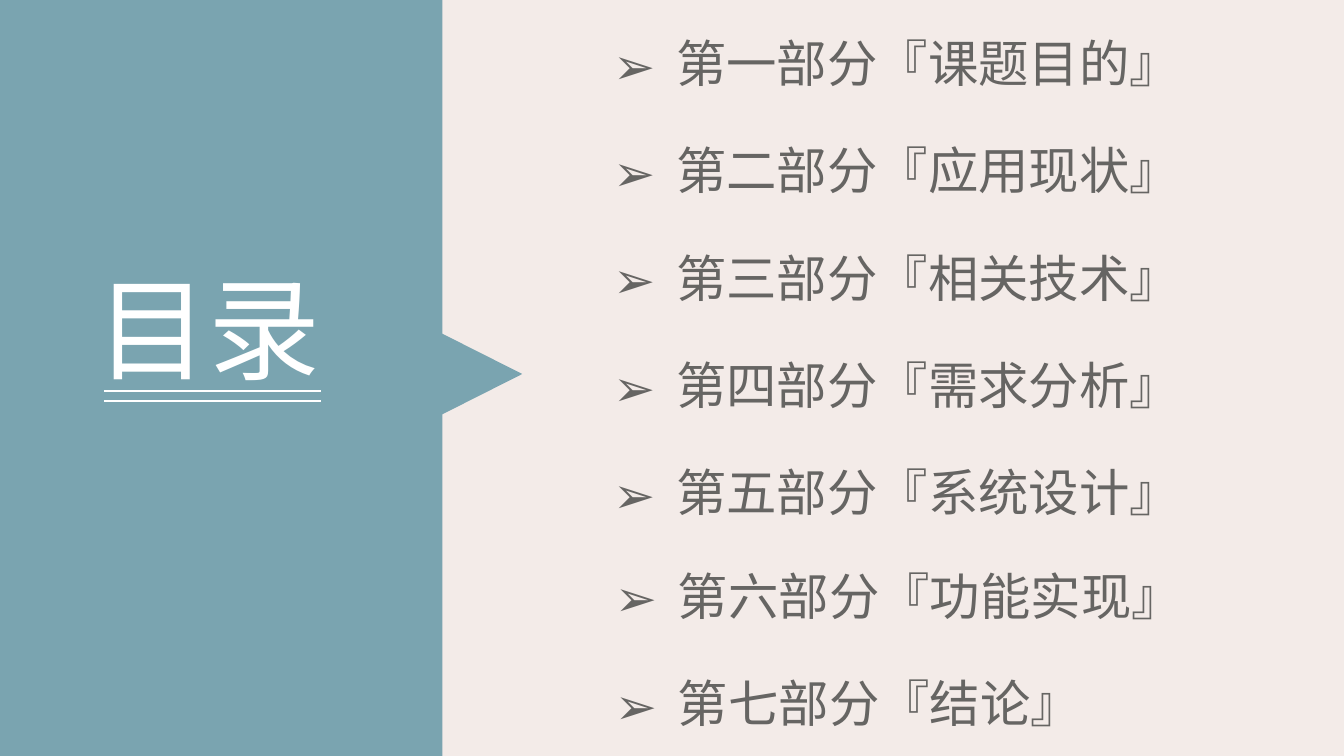
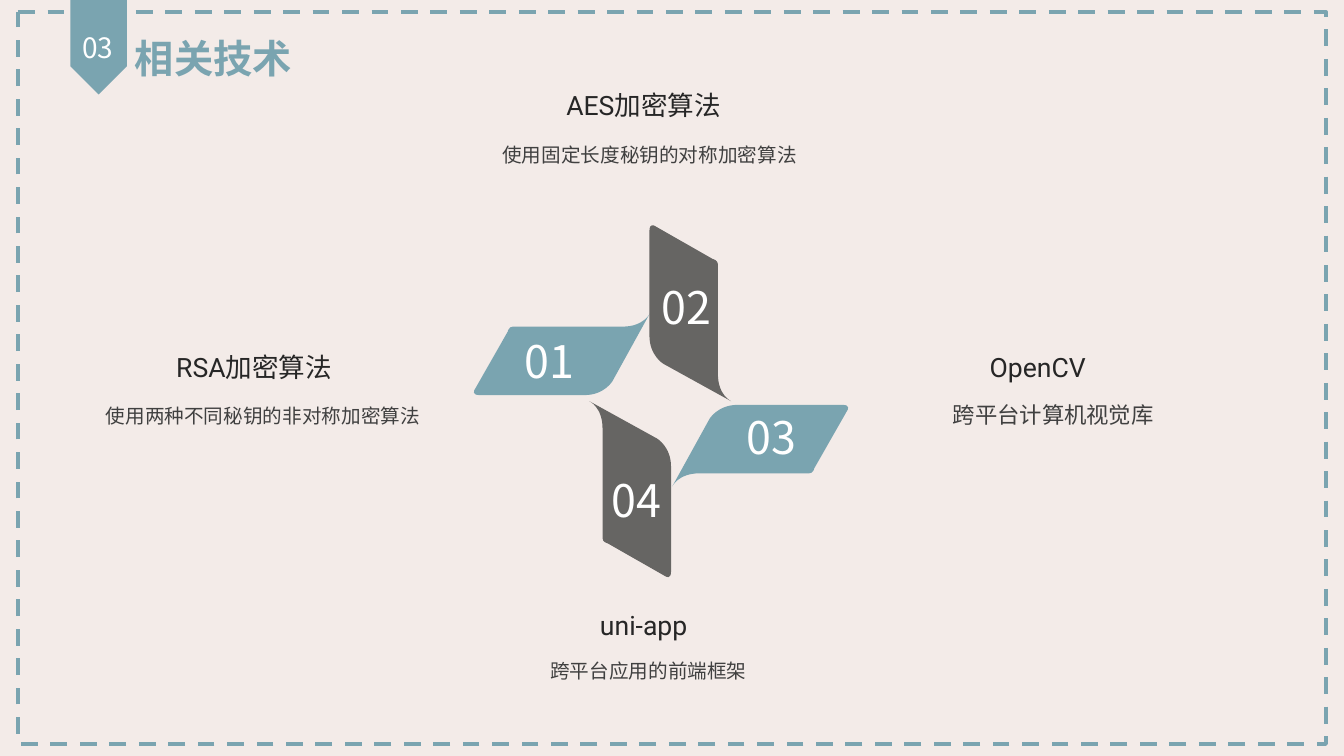
from lxml.etree import SubElement
from pptx import Presentation
from pptx.dml.color import RGBColor
from pptx.enum.dml import MSO_LINE
from pptx.enum.shapes import MSO_CONNECTOR, MSO_SHAPE
from pptx.enum.text import MSO_AUTO_SIZE, PP_ALIGN
from pptx.oxml.ns import qn
from pptx.util import Pt

TEAL, GREY, WHITE, CREAM = "7AA4B0", "666563", "FFFFFF", "F3EBE8"
HAN, LATIN = "Noto Sans CJK SC", "Roboto"
CENTER, LEFT = PP_ALIGN.CENTER, PP_ALIGN.LEFT

AGENDA_STEP, AGENDA_INDENT = 76.65, 45
AGENDA = [
    (430.9, 19.3, ["第一部分『课题目的』", "第二部分『应用现状』", "第三部分『相关技术』",
                   "第四部分『需求分析』", "第五部分『系统设计』"]),
    (432.2, 399.9, ["第六部分『功能实现』", "第七部分『结论』"]),
]

STYLES = {
    "contents": dict(size=80, color=WHITE),
    "agenda": dict(size=36, color=GREY),
    "badge": dict(size=20, color=WHITE),
    "title": dict(size=28, color=TEAL, bold=True),
    "number": dict(size=32, color=WHITE, align=CENTER),
    "heading": dict(size=19, color="262626", font=LATIN, align=CENTER, spacing=1.2),
    "detail": dict(size=14, color="404040", align=CENTER, spacing=1.5),
}

BLADE_CURVES = [
    [(0, 0), (-4.3, 9.4), (-19.4, 9.4)],
    [(-97.9, 9.4)] * 3,
    [(-100.8, 9.4), (-101.5, 13), (-101.5, 13)],
    [(-125.3, 54.7)] * 3,
    [(-125.3, 54.7), (-127.4, 58.3), (-121.7, 58.3)],
    [(-46.8, 58.3)] * 3,
    [(-32.4, 58.3), (-26.6, 48.2), (-26.6, 48.2)],
]

TECHNOLOGIES = [
    dict(tip=(464.2, 223.9), number=(363.6, 234.9),
         heading=("RSA加密算法", (52.2, 246.2, 258.5, 30.2), {}),
         detail=("使用两种不同秘钥的非对称加密算法", (42.8, 280.1), {})),
    dict(tip=(522.2, 286.6), number=(461.5, 196.2),
         heading=("AES加密算法", (361.4, 59, 196.6, 30.2), {}),
         detail=("使用固定长度秘钥的对称加密算法", (319, 93.6), {})),
    dict(tip=(480.2, 347.5), number=(522.2, 289.2),
         heading=("OpenCV", (694.8, 246.2, 196.6, 30.2), dict(align=LEFT)),
         detail=("跨平台计算机视觉库", (607.3, 276.8), dict(size=16, font=LATIN))),
    dict(tip=(421, 286.6), number=(425.8, 334.1),
         heading=("uni-app", (329.8, 430.6, 259.9, 30.2), {}),
         detail=("跨平台应用的前端框架", (318.2, 462.2), {})),
]


def color(code):
    return RGBColor.from_string(code)


def apply(target, values):
    for name, value in values.items():
        setattr(target, name, value)


def add_page(deck):
    page = deck.slides.add_slide(deck.slide_layouts[6])
    page.background.fill.solid()
    page.background.fill.fore_color.rgb = color(CREAM)
    return page


def paint(shape, fill):
    shape.shadow.inherit = False
    shape.fill.solid()
    shape.fill.fore_color.rgb = color(fill)
    shape.line.fill.background()


def add_block(parent, kind, place, fill, rotation=0):
    block = parent.shapes.add_shape(kind, *map(Pt, place))
    block.rotation = rotation
    paint(block, fill)


def add_text(parent, text, place, style, wrap=True, grow=True, bullet=None, **changes):
    look = {"font": HAN, "align": LEFT, "spacing": None, "bold": None, **STYLES[style], **changes}
    box = parent.shapes.add_textbox(*map(Pt, place))
    frame = box.text_frame
    apply(frame, dict(word_wrap=wrap,
                      auto_size=MSO_AUTO_SIZE.SHAPE_TO_FIT_TEXT if grow else MSO_AUTO_SIZE.NONE))
    if not grow:
        apply(frame, dict(margin_left=Pt(12.2), margin_right=Pt(12.2), margin_top=0, margin_bottom=0))
    para = frame.paragraphs[0]
    apply(para, dict(alignment=look["align"], line_spacing=look["spacing"]))
    if bullet:
        properties = para._p.get_or_add_pPr()
        properties.set("marL", str(Pt(AGENDA_INDENT)))
        properties.set("indent", str(-Pt(AGENDA_INDENT)))
        SubElement(properties, qn("a:buFont")).set("typeface", HAN)
        SubElement(properties, qn("a:buChar")).set("char", bullet)
    span = para.add_run()
    span.text = text
    apply(span.font, dict(name=look["font"], size=Pt(look["size"]), bold=look["bold"]))
    span.font.color.rgb = color(look["color"])
    SubElement(span._r.get_or_add_rPr(), qn("a:ea")).set("typeface", HAN)


def add_rule(page, left, right, top):
    rule = page.shapes.add_connector(MSO_CONNECTOR.STRAIGHT, Pt(left), Pt(top), Pt(right), Pt(top))
    rule.line.width = Pt(1.5)
    rule.line.color.rgb = color(WHITE)
    SubElement(rule._element.spPr, qn("a:effectLst"))


def bend(shape):
    segments = list(shape._element.iter(qn("a:lnTo")))
    for first in range(0, 3 * len(BLADE_CURVES), 3):
        trio = segments[first:first + 3]
        curve = trio[0].makeelement(qn("a:cubicBezTo"))
        trio[0].addprevious(curve)
        for segment in trio:
            curve.append(segment[0])
            segment.getparent().remove(segment)


def add_blade(parent, tip, quarter_turns, fill):
    outline = []
    for x, y in [(0, 0), *sum(BLADE_CURVES, []), (0, 0)]:
        for _ in range(quarter_turns):
            x, y = -y, x
        outline.append((Pt(tip[0] + x), Pt(tip[1] + y)))
    builder = parent.shapes.build_freeform(*outline[0])
    builder.add_line_segments(outline[1:], close=True)
    blade = builder.convert_to_shape()
    bend(blade)
    paint(blade, fill)


def add_contents(deck):
    page = add_page(deck)
    panel = page.shapes.add_group_shape()
    add_block(panel, MSO_SHAPE.RECTANGLE, (-112, 112, 540, 316), TEAL, 90)
    add_block(panel, MSO_SHAPE.ISOSCELES_TRIANGLE, (292.8, 227.2, 80.6, 79.9), TEAL, 90)
    add_text(page, "目录", (61.6, 181.8, 186.5, 104.4), "contents")
    for top in (279.4, 286.6):
        add_rule(page, 74.2, 229, top)
    for left, first, entries in AGENDA:
        for row, entry in enumerate(entries):
            place = (left, first + row * AGENDA_STEP, 434.2, 51.1)
            add_text(page, entry, place, "agenda", bullet="➢")


def add_header(page, number, title):
    border = page.shapes.add_shape(MSO_SHAPE.ROUNDED_RECTANGLE, Pt(13), Pt(8.6), Pt(934), Pt(522.7))
    border.adjustments[0] = 0
    border.shadow.inherit = False
    border.fill.background()
    apply(border.line, dict(width=Pt(3), dash_style=MSO_LINE.DASH))
    border.line.color.rgb = color(TEAL)
    add_block(page, MSO_SHAPE.PENTAGON, (36.6, 13.5, 67.7, 40.3), TEAL, 90)
    add_text(page, number, (51.8, 18, 37.4, 31.7), "badge", wrap=False)
    add_text(page, title, (89.3, 20.9, 129.6, 41), "title")


def add_technologies(deck):
    page = add_page(deck)
    add_header(page, "03", "相关技术")
    for index, item in enumerate(TECHNOLOGIES):
        petal = page.shapes.add_group_shape()
        add_blade(petal, item["tip"], index, (TEAL, GREY)[index % 2])
        add_text(petal, f"{index + 1:02}", (*item["number"], 57.6, 46.1), "number")
        text, place, changes = item["heading"]
        add_text(page, text, place, "heading", grow=False, **changes)
        text, corner, changes = item["detail"]
        add_text(page, text, (*corner, 290.2, 59), "detail", grow=False, **changes)


def main():
    deck = Presentation()
    apply(deck, dict(slide_width=Pt(960), slide_height=Pt(540)))
    add_contents(deck)
    add_technologies(deck)
    deck.save("out.pptx")


if __name__ == "__main__":
    main()
